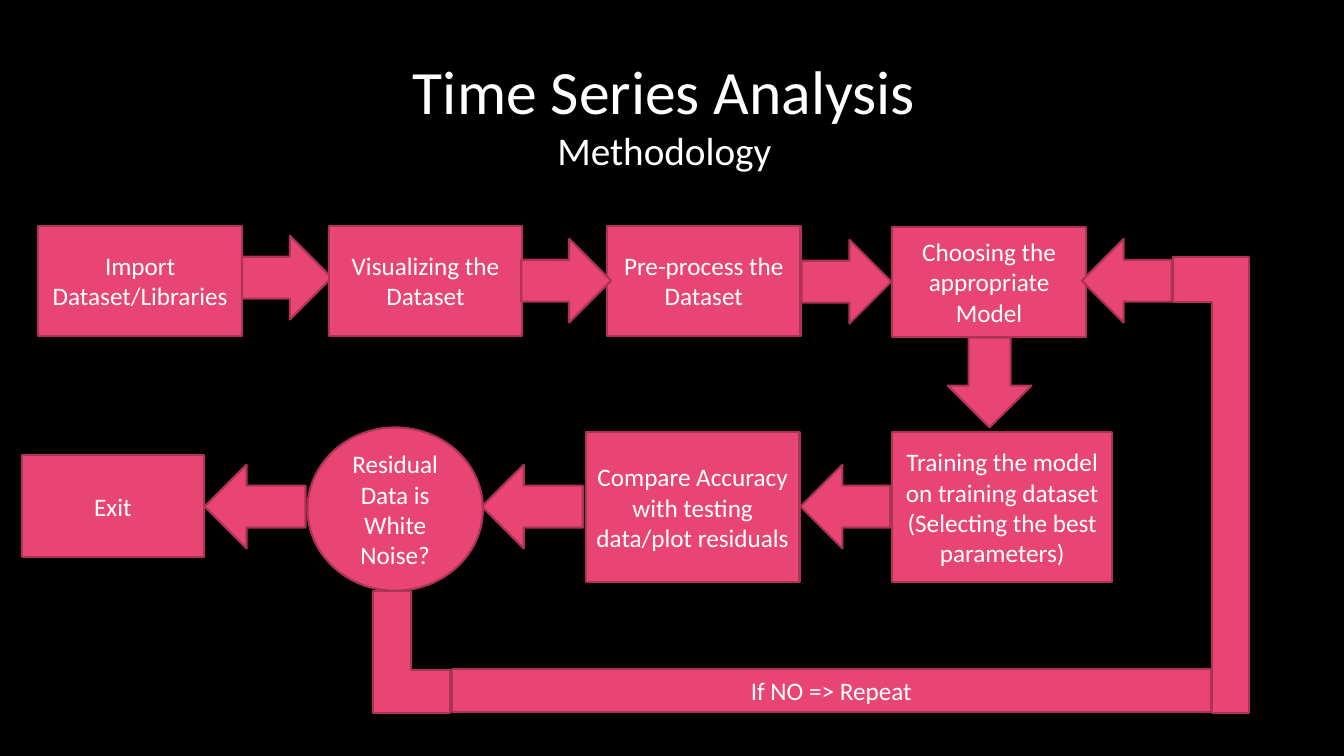
from pptx import Presentation
from pptx.dml.color import RGBColor
from pptx.enum.shapes import MSO_SHAPE
from pptx.enum.text import MSO_ANCHOR, MSO_AUTO_SIZE, PP_ALIGN
from pptx.util import Pt

RECTANGLE = MSO_SHAPE.RECTANGLE
ELLIPSE = MSO_SHAPE.OVAL
ARROW = MSO_SHAPE.RIGHT_ARROW
CORNER = MSO_SHAPE.CORNER
CENTER = PP_ALIGN.CENTER
TOP, MIDDLE = MSO_ANCHOR.TOP, MSO_ANCHOR.MIDDLE
NO_AUTOFIT = MSO_AUTO_SIZE.NONE

BLACK = RGBColor(0x00, 0x00, 0x00)
WHITE = RGBColor(0xFF, 0xFF, 0xFF)
PINK = RGBColor(0xE8, 0x45, 0x74)
DARK_PINK = RGBColor(0xAC, 0x33, 0x56)

PX = 9144
SLIDE_SIZE = (1333, 750)
TITLE_BOX = (192, 47, 934, 131)
TITLE_LINES = [("Time Series Analysis", 44), ("Methodology", 28)]

STEP = (192, 109)
SHORT_ARROW = (89, 83)
LONG_ARROW = (100, 83)
RIGHT, DOWN, LEFT = 0, 90, 180

FLOW = [
    (RECTANGLE, (38, 224), (202, 109), 0, "Import Dataset/Libraries"),
    (ARROW, (240, 234), SHORT_ARROW, RIGHT, ""),
    (RECTANGLE, (326, 224), STEP, 0, "Visualizing the Dataset"),
    (RECTANGLE, (602, 224), STEP, 0, "Pre-process the Dataset"),
    (RECTANGLE, (885, 225), STEP, 0, "Choosing the appropriate Model"),
    (ARROW, (517, 237), SHORT_ARROW, RIGHT, ""),
    (ARROW, (795, 238), SHORT_ARROW, RIGHT, ""),
    (ARROW, (937, 338), SHORT_ARROW, DOWN, ""),
    (RECTANGLE, (885, 429), (218, 148), 0,
     "Training the model on training dataset (Selecting the best parameters)"),
    (ARROW, (794, 461), SHORT_ARROW, LEFT, ""),
    (RECTANGLE, (581, 429), (212, 148), 0,
     "Compare Accuracy with testing data/plot residuals"),
    (ARROW, (478, 461), LONG_ARROW, LEFT, ""),
    (ELLIPSE, (305, 424), (174, 162), 0, "Residual Data is White Noise?"),
    (CORNER, (370, 586), (76, 121), 0, ""),
    (RECTANGLE, (448, 664), (753, 42), 0, "If NO => Repeat"),
    (CORNER, (1163, 255), (76, 452), 180, ""),
    (ARROW, (1073, 237), SHORT_ARROW, LEFT, ""),
    (ARROW, (203, 461), LONG_ARROW, LEFT, ""),
    (RECTANGLE, (22, 451), (180, 102), 0, "Exit"),
]
CORNER_ADJUSTMENTS = {0: (0.56, 0.5), 180: (0.59, 0.49)}


def set_values(target, values):
    for name, value in values.items():
        setattr(target, name, value)


def write_line(para, text, size):
    set_values(para, {"alignment": CENTER, "line_spacing": 1.0,
                      "space_before": Pt(0), "space_after": Pt(0)})
    span = para.add_run()
    span.text = text
    set_values(span.font, {"name": "Calibri", "size": Pt(size)})
    span.font.color.rgb = WHITE


def add_title(page):
    title = page.shapes.title
    left, top, width, height = (value * PX for value in TITLE_BOX)
    set_values(title, {"left": left, "top": top, "width": width, "height": height})
    frame = title.text_frame
    set_values(frame, {"word_wrap": True, "auto_size": NO_AUTOFIT,
                       "vertical_anchor": TOP})
    for index, (text, size) in enumerate(TITLE_LINES):
        para = frame.add_paragraph() if index else frame.paragraphs[0]
        write_line(para, text, size)


def add_flow_part(page, kind, corner, size, rotation, text):
    part = page.shapes.add_shape(kind, *(value * PX for value in corner + size))
    part.rotation = rotation
    part.shadow.inherit = False
    part.fill.solid()
    part.fill.fore_color.rgb = PINK
    part.line.color.rgb = DARK_PINK
    part.line.width = Pt(1.5)
    if kind == CORNER:
        for index, value in enumerate(CORNER_ADJUSTMENTS[rotation]):
            part.adjustments[index] = value
    if text:
        set_values(part.text_frame, {"word_wrap": True, "vertical_anchor": MIDDLE})
        write_line(part.text_frame.paragraphs[0], text, 18)


def main():
    deck = Presentation()
    deck.slide_width, deck.slide_height = (value * PX for value in SLIDE_SIZE)
    page = deck.slides.add_slide(deck.slide_layouts[5])
    page.background.fill.solid()
    page.background.fill.fore_color.rgb = BLACK
    add_title(page)
    for part in FLOW:
        add_flow_part(page, *part)
    deck.save("out.pptx")


if __name__ == "__main__":
    main()
